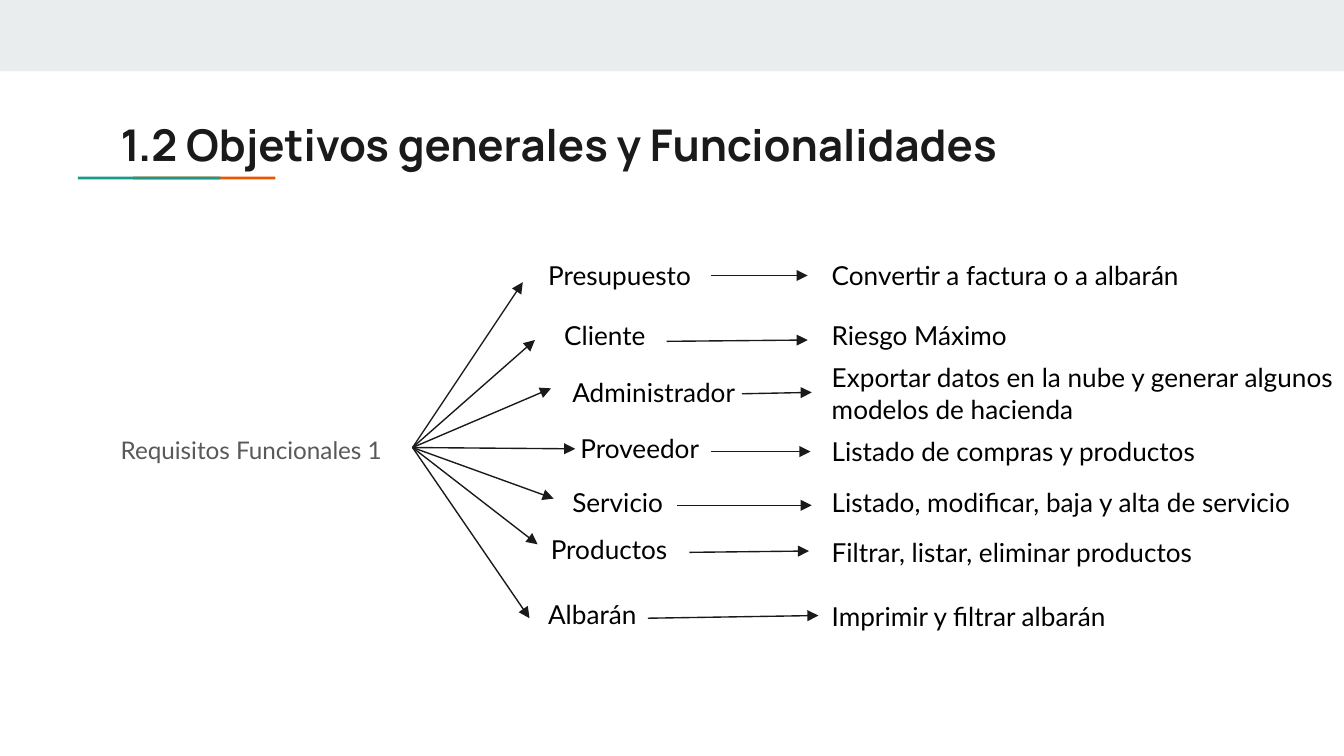
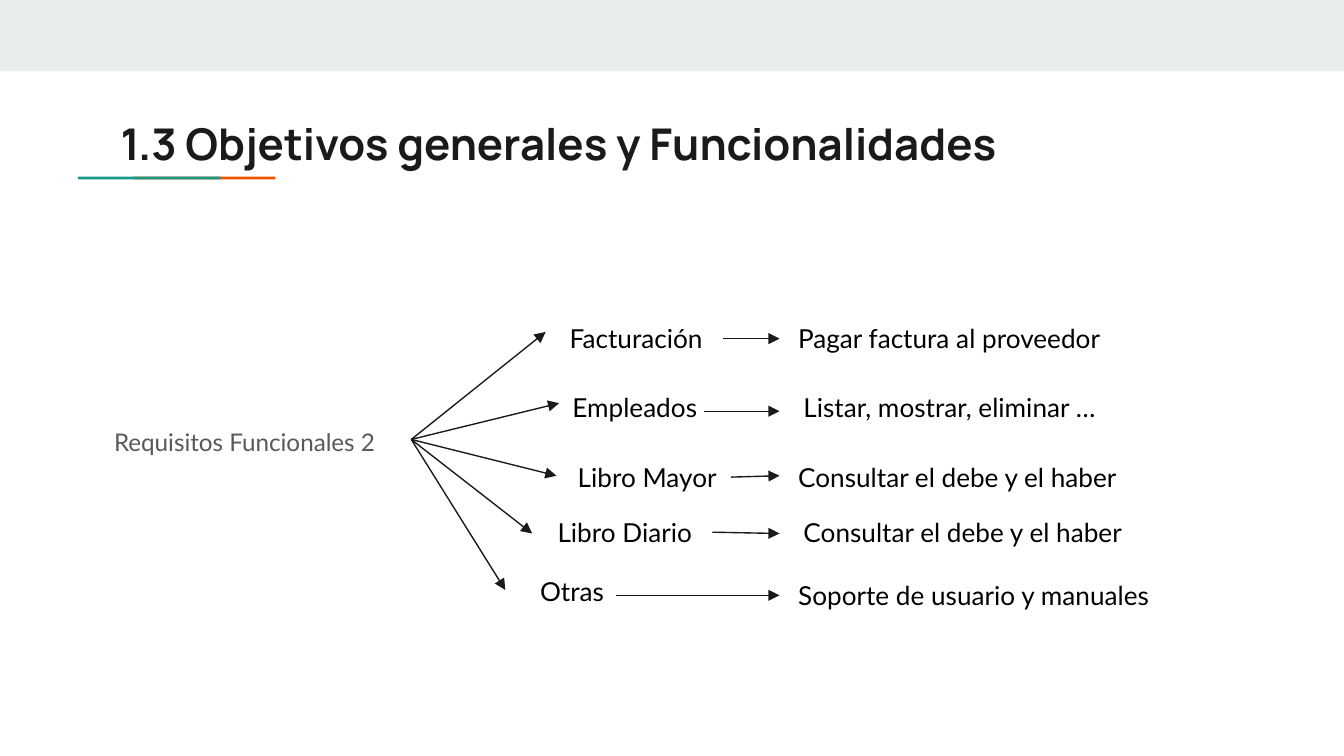
"""Build two slides of functional requirements drawn as arrow diagrams."""
from dataclasses import dataclass
from typing import NamedTuple

from lxml.etree import SubElement
from pptx import Presentation
from pptx.dml.color import RGBColor
from pptx.enum.shapes import MSO_CONNECTOR, MSO_SHAPE
from pptx.enum.text import MSO_AUTO_SIZE
from pptx.oxml.ns import qn
from pptx.slide import Slide
from pptx.util import Inches, Pt

DECK_WIDTH = Inches(10)
DECK_HEIGHT = DECK_WIDTH * 9 // 16
COLUMNS = 100
CELL = DECK_WIDTH // COLUMNS


@dataclass(frozen=True)
class Theme:
    """Colours, fonts and type sizes of the deck."""

    paper: str = "FFFFFF"
    band: str = "E9EDEE"
    teal: str = "1A9988"
    orange: str = "EB5600"
    ink: str = "1A1A1A"
    text: str = "000000"
    muted: str = "595959"
    title_font: str = "Manrope"
    body_font: str = "Lato"
    title_size: float = 23.4
    source_size: float = 13
    label_size: float = 14
    line_width: float = 0.75
    line_spacing: float = 1.15
    space_after: float = 12


class Point(NamedTuple):
    """A place on the grid, in columns and rows."""

    column: float
    row: float


class Area(NamedTuple):
    """A rectangle on the grid, in columns and rows."""

    column: float
    row: float
    width: float
    height: float = 4.4


@dataclass(frozen=True)
class Branch:
    """A topic reached from the hub, with a link to its outcome."""

    topic: str
    topic_area: Area
    spoke_tip: Point
    link_start: Point
    link_end: Point
    outcome: str
    outcome_area: Area


@dataclass(frozen=True)
class Diagram:
    """The contents of one slide."""

    title: str
    title_row: float
    source: str
    source_corner: Point
    hub: Point
    branches: tuple[Branch, ...]


THEME = Theme()

DIAGRAMS = (
    Diagram(
        "1.2 Objetivos generales y Funcionalidades", 7.2,
        "Requisitos Funcionales 1", Point(8, 22.8), Point(30.7, 33.3),
        (
            Branch("Presupuesto", Area(39.8, 18.3, 13), Point(38.9, 21),
                   Point(52.9, 20.5), Point(60.1, 20.5),
                   "Convertir a factura o a albarán", Area(60.9, 18.3, 38.3)),
            Branch("Cliente", Area(41, 22.8, 13), Point(39.8, 25.3),
                   Point(49.6, 25.4), Point(60.1, 25.3),
                   "Riesgo Máximo", Area(60.9, 22.8, 16.6)),
            Branch("Administrador", Area(41.6, 27, 15.2), Point(41, 28.9),
                   Point(55.2, 29.3), Point(60.4, 29.2),
                   "Exportar datos en la nube y generar algunos modelos de hacienda",
                   Area(60.9, 25.9, 42.5, 6.7)),
            Branch("Proveedor", Area(42.2, 31.2, 13), Point(42.8, 33.4),
                   Point(52.9, 33.6), Point(60.3, 33.6),
                   "Listado de compras y productos", Area(60.9, 31.4, 33.2)),
            Branch("Servicio", Area(41.6, 35.2, 13), Point(41.2, 37.1),
                   Point(50.4, 37.6), Point(60.4, 37.6),
                   "Listado, modificar, baja y alta de servicio", Area(60.9, 35.2, 38.3)),
            Branch("Productos", Area(40, 38.7, 13), Point(40, 40.5),
                   Point(51.3, 41.1), Point(60.2, 41),
                   "Filtrar, listar, eliminar productos", Area(60.9, 38.9, 38.3)),
            Branch("Albarán", Area(39.8, 43.5, 13), Point(39.4, 46),
                   Point(48.2, 46), Point(60.9, 45.8),
                   "Imprimir y filtrar albarán", Area(60.9, 43.7, 26.4)),
        ),
    ),
    Diagram(
        "1.3 Objetivos generales y Funcionalidades", 7.1,
        "Requisitos Funcionales 2", Point(7.5, 22.2), Point(30.6, 32.7),
        (
            Branch("Facturación", Area(41.4, 23, 12.5), Point(40.6, 24.7),
                   Point(53.8, 25.2), Point(58, 25.2),
                   "Pagar factura al proveedor", Area(58.4, 23, 24.7)),
            Branch("Empleados", Area(41.6, 28.1, 12.5), Point(41.6, 30),
                   Point(52.4, 30.6), Point(58, 30.6),
                   "Listar, mostrar, eliminar …", Area(58.8, 28.1, 39.8)),
            Branch("Libro Mayor", Area(42, 33.3, 12.5), Point(41.4, 35.4),
                   Point(54.4, 35.5), Point(58, 35.4),
                   "Consultar el debe y el haber", Area(58.4, 33.3, 39.8)),
            Branch("Libro Diario", Area(40.5, 37.4, 12.5), Point(39.6, 39.7),
                   Point(53, 39.6), Point(58, 39.7),
                   "Consultar el debe y el haber", Area(58.8, 37.4, 39.8)),
            Branch("Otras", Area(39.2, 41.8, 12.5), Point(37.6, 43.9),
                   Point(45.8, 44.3), Point(58, 44.3),
                   "Soporte de usuario y manuales", Area(58.4, 42.1, 39.8)),
        ),
    ),
)


def cells(*counts: float) -> list[int]:
    """Turn grid counts into lengths."""
    return [round(count * CELL) for count in counts]


def add_text(page: Slide, text: str, area: Area, *, size: float = THEME.label_size,
             font: str = THEME.body_font, color: str = THEME.text, bold: bool = False,
             spacing: float = 1, after: float = 0, top_inset: float = 1,
             grow: bool = True) -> None:
    """Write one formatted paragraph in a text box."""
    box = page.shapes.add_textbox(*cells(*area))
    frame = box.text_frame
    frame.word_wrap = True
    frame.auto_size = MSO_AUTO_SIZE.SHAPE_TO_FIT_TEXT if grow else MSO_AUTO_SIZE.NONE
    frame.margin_left = frame.margin_right = frame.margin_bottom = CELL
    frame.margin_top = cells(top_inset)[0]
    para = frame.paragraphs[0]
    para.line_spacing = spacing
    para.space_after = Pt(after)
    span = para.add_run()
    span.text = text
    span.font.name = font
    span.font.size = Pt(size)
    span.font.bold = bold
    span.font.color.rgb = RGBColor.from_string(color)


def add_bar(page: Slide, area: Area, color: str) -> None:
    """Draw a plain filled rectangle."""
    bar = page.shapes.add_shape(MSO_SHAPE.RECTANGLE, *cells(*area))
    bar.shadow.inherit = False
    bar.fill.solid()
    bar.fill.fore_color.rgb = RGBColor.from_string(color)
    bar.line.fill.background()


def add_arrow(page: Slide, start: Point, end: Point) -> None:
    """Draw a thin line with a triangle at its end."""
    arrow = page.shapes.add_connector(MSO_CONNECTOR.STRAIGHT, *cells(*start, *end))
    arrow.line.width = Pt(THEME.line_width)
    arrow.line.color.rgb = RGBColor.from_string(THEME.ink)
    SubElement(arrow.line._get_or_add_ln(), qn("a:tailEnd"), type="triangle")
    SubElement(arrow._element.spPr, qn("a:effectLst"))


def add_frame(page: Slide, title: str, title_row: float) -> None:
    """Draw the background, top band, accent bars and title."""
    page.background.fill.solid()
    page.background.fill.fore_color.rgb = RGBColor.from_string(THEME.paper)
    add_bar(page, Area(0, 0, COLUMNS, 5.3), THEME.band)
    add_bar(page, Area(9.9, 13.15, 10.6, 0.2), THEME.orange)
    add_bar(page, Area(5.8, 13.15, 10.6, 0.2), THEME.teal)
    add_text(page, title, Area(8, title_row, 84.1, 5.9), size=THEME.title_size,
             font=THEME.title_font, color=THEME.ink, bold=True,
             spacing=THEME.line_spacing, after=THEME.space_after, grow=False)


def add_diagram(page: Slide, diagram: Diagram) -> None:
    """Draw the source label and every branch from the hub."""
    add_text(page, diagram.source, Area(*diagram.source_corner, 84.1, 24.7),
             size=THEME.source_size, color=THEME.muted,
             spacing=THEME.line_spacing, top_inset=9.3, grow=False)
    for branch in diagram.branches:
        add_arrow(page, diagram.hub, branch.spoke_tip)
        add_text(page, branch.topic, branch.topic_area)
        add_arrow(page, branch.link_start, branch.link_end)
        add_text(page, branch.outcome, branch.outcome_area)


def main() -> None:
    """Build and save the deck."""
    deck = Presentation()
    deck.slide_width = DECK_WIDTH
    deck.slide_height = DECK_HEIGHT
    for diagram in DIAGRAMS:
        page = deck.slides.add_slide(deck.slide_layouts[6])
        add_frame(page, diagram.title, diagram.title_row)
        add_diagram(page, diagram)
    deck.save("out.pptx")


if __name__ == "__main__":
    main()
